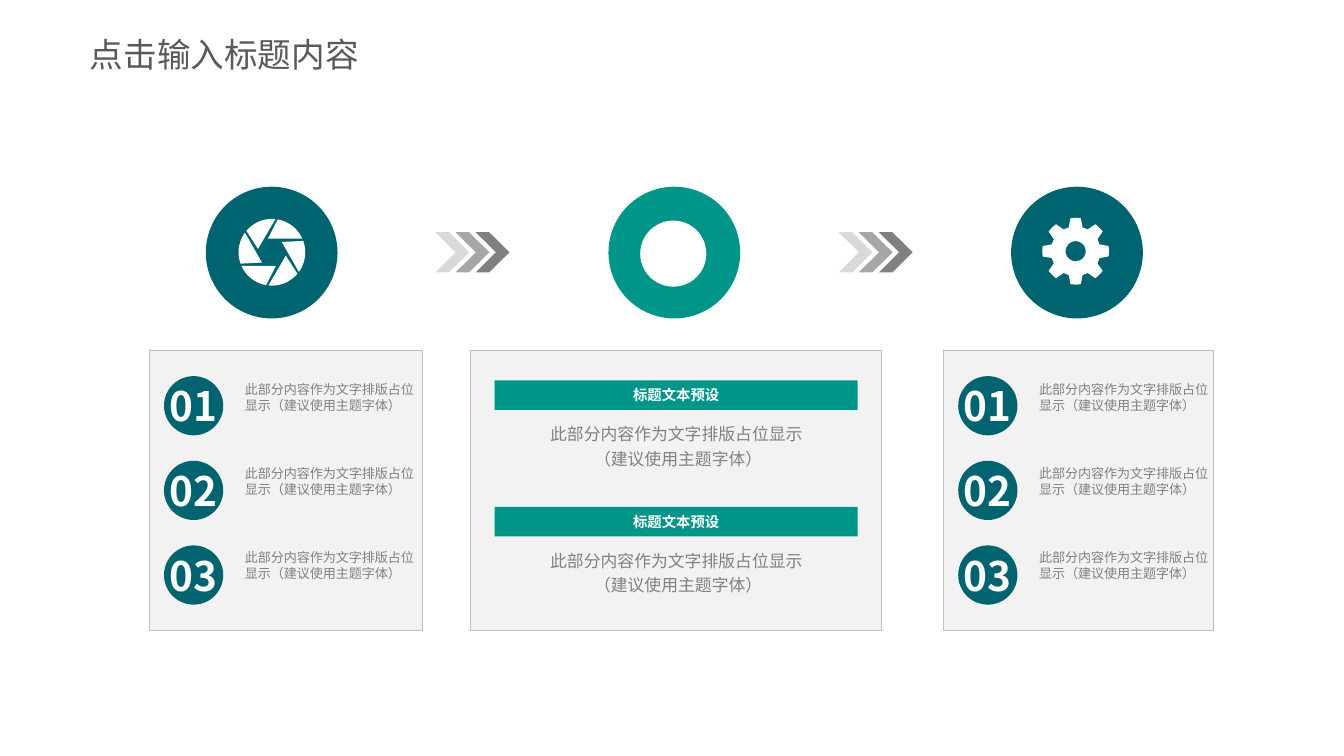
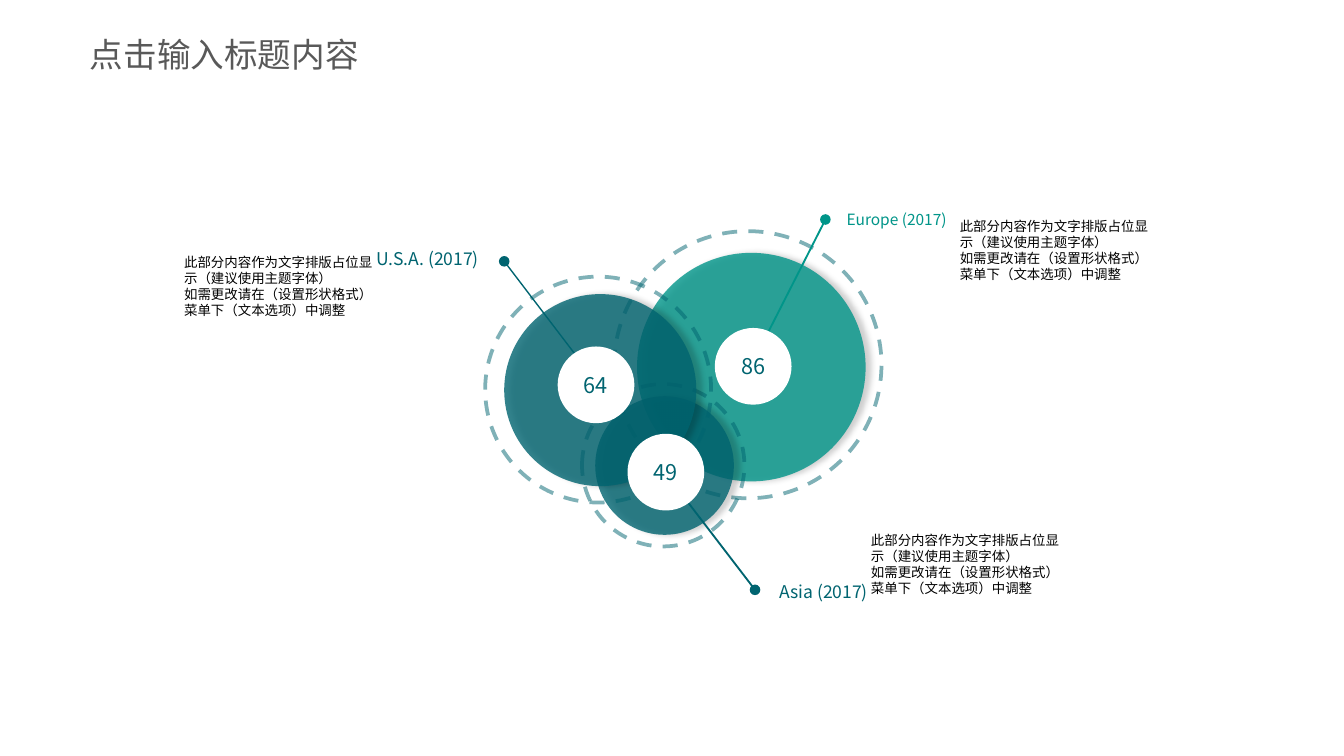
from math import cos, radians, sin

from lxml import etree
from pptx import Presentation
from pptx.dml.color import RGBColor
from pptx.enum.dml import MSO_LINE
from pptx.enum.shapes import MSO_CONNECTOR, MSO_SHAPE
from pptx.enum.text import MSO_ANCHOR, MSO_AUTO_SIZE, PP_ALIGN
from pptx.oxml.ns import qn
from pptx.util import Cm, Pt

CIRCLE, RECTANGLE, CHEVRON = MSO_SHAPE.OVAL, MSO_SHAPE.RECTANGLE, MSO_SHAPE.CHEVRON
STRAIGHT, DASH = MSO_CONNECTOR.STRAIGHT, MSO_LINE.DASH
TOP, MIDDLE = MSO_ANCHOR.TOP, MSO_ANCHOR.MIDDLE
LEFT, CENTER, RIGHT = PP_ALIGN.LEFT, PP_ALIGN.CENTER, PP_ALIGN.RIGHT
TITLE_ONLY = 5

FONT = "Noto Sans CJK SC"
DARK_TEAL, TEAL = "006470", "009589"
WHITE, BLACK = "FFFFFF", "000000"
PANEL, BORDER, GRAY, TITLE_GRAY = "F2F2F2", "BFBFBF", "808080", "595959"
CHEVRON_GRAYS = ("D9D9D9", "A6A6A6", GRAY)
NO_INSETS = (0, 0, 0, 0)
DEFAULT_INSETS = (0.25, 0.13, 0.25, 0.13)


def color(hex_string):
    return RGBColor.from_string(hex_string)


def add_element(parent, tag, **attributes):
    element = etree.SubElement(parent, qn(tag))
    for name, value in attributes.items():
        element.set(name, str(value))
    return element


def set_opacity(container, percent):
    srgb = next(container.iter(qn("a:srgbClr")))
    add_element(srgb, "a:alpha", val=percent * 1000)


def polar(center, radius, degrees):
    angle = radians(degrees)
    return center[0] + radius * cos(angle), center[1] + radius * sin(angle)


def arc(center, radius, start, end, steps=12):
    return [polar(center, radius, start + (end - start) * step / steps)
            for step in range(steps + 1)]


class Deck:
    """Holds the shared style and the current slide."""

    def __init__(self):
        self.presentation = Presentation()
        self.presentation.slide_width = Cm(25.4)
        self.presentation.slide_height = Cm(14.29)
        self.slide = None

    def new_slide(self, title):
        layout = self.presentation.slide_layouts[TITLE_ONLY]
        self.slide = self.presentation.slides.add_slide(layout)
        shape = self.slide.shapes.title
        shape.left, shape.top = Cm(1.7), Cm(0.48)
        shape.width, shape.height = Cm(5.92), Cm(1.07)
        self.set_text(shape, title, 18, TITLE_GRAY, insets=(0, 0.13, 0, 0.13))

    def set_text(self, shape, text, size, hex_color, bold=False, align=LEFT, anchor=MIDDLE,
                 insets=NO_INSETS, spacing=None, wrap=True):
        frame = shape.text_frame
        frame.text = text
        frame.auto_size = MSO_AUTO_SIZE.NONE
        frame.word_wrap = wrap
        frame.vertical_anchor = anchor
        (frame.margin_left, frame.margin_top,
         frame.margin_right, frame.margin_bottom) = map(Cm, insets)
        for paragraph in frame.paragraphs:
            paragraph.alignment = align
            paragraph.line_spacing = spacing
            font = paragraph.font
            font.name, font.size, font.bold = FONT, Pt(size), bold
            font.color.rgb = color(hex_color)
            # East Asian characters need their own typeface entry
            add_element(paragraph._p.pPr.find(qn("a:defRPr")), "a:ea", typeface=FONT)

    def text(self, x, y, width, height, text, size, hex_color, **options):
        box = self.slide.shapes.add_textbox(Cm(x), Cm(y), Cm(width), Cm(height))
        self.set_text(box, text, size, hex_color, **options)

    def paint(self, shape, fill, line=None, line_width=0.25):
        shape.shadow.inherit = False
        if fill:
            shape.fill.solid()
            shape.fill.fore_color.rgb = color(fill)
        else:
            shape.fill.background()
        if line:
            shape.line.color.rgb = color(line)
            shape.line.width = Pt(line_width)
        else:
            shape.line.fill.background()

    def shape(self, kind, x, y, width, height, fill, line=None, line_width=0.25):
        shape = self.slide.shapes.add_shape(kind, Cm(x), Cm(y), Cm(width), Cm(height))
        self.paint(shape, fill, line, line_width)
        return shape

    def circle(self, x, y, diameter, fill, **options):
        return self.shape(CIRCLE, x, y, diameter, diameter, fill, **options)

    def disc(self, x, y, diameter, fill):
        """Translucent circle with a soft shadow to the right."""
        properties = self.circle(x, y, diameter, fill)._element.spPr
        set_opacity(properties.find(qn("a:solidFill")), 80)
        shadow = add_element(properties.find(qn("a:effectLst")), "a:outerShdw",
                             blurRad=Pt(3), dist=Pt(3), dir=0, algn="l", rotWithShape=0)
        add_element(shadow, "a:srgbClr", val=BLACK)
        set_opacity(shadow, 23)

    def ring(self, x, y, diameter):
        shape = self.circle(x, y, diameter, None, line=DARK_TEAL, line_width=2)
        shape.line.dash_style = DASH
        set_opacity(shape._element.spPr.find(qn("a:ln")), 50)

    def outline(self, contours, fill):
        """One freeform made of closed contours."""
        contours = [[(Cm(x), Cm(y)) for x, y in contour] for contour in contours]
        builder = self.slide.shapes.build_freeform(*contours[0][0], scale=1.0)
        for index, contour in enumerate(contours):
            if index:
                builder.move_to(*contour[0])
            builder.add_line_segments(contour[1:], close=True)
        self.paint(builder.convert_to_shape(), fill)

    def line(self, start, end, hex_color, width):
        connector = self.slide.shapes.add_connector(STRAIGHT, *map(Cm, (*start, *end)))
        connector.line.color.rgb = color(hex_color)
        connector.line.width = Pt(width)
        add_element(connector._element.spPr, "a:effectLst")

    def chevrons(self, x, y):
        for index, gray in enumerate(CHEVRON_GRAYS):
            shape = self.shape(CHEVRON, x + 0.38 * index, y, 0.64, 0.76, gray)
            shape.adjustments[0] = 0.6

    def gear(self, center):
        contour = []
        for tooth in range(0, 360, 45):
            contour += [polar(center, 0.47, tooth - 16), *arc(center, 0.63, tooth - 9, tooth + 9, 4),
                        polar(center, 0.47, tooth + 16)]
        self.outline([contour, arc(center, 0.19, 0, 360, 36)], WHITE)

    def aperture(self, center):
        blades = [arc(center, 0.63, turn - 84, turn - 140) + [polar(center, 0.27, turn - 166)]
                  for turn in range(0, 360, 60)]
        self.outline(blades, WHITE)

    def numbered_panel(self, x, width):
        self.shape(RECTANGLE, x, 6.63, width, 5.28, PANEL, BORDER)
        for index in range(3):
            badge = self.circle(x + 0.28, 7.11 + 1.6 * index, 1.12, DARK_TEAL)
            self.set_text(badge, f"{index + 1:02}", 21.7, WHITE, bold=True, align=CENTER,
                          wrap=False)
            self.text(x + 1.4, 7.21 + 1.59 * index, width - 1.4, 0.91, ITEM, 7, GRAY,
                      anchor=TOP, insets=(0.41, 0, 0, 0))

    def headed_panel(self, x, width):
        self.shape(RECTANGLE, x, 6.63, width, 5.28, PANEL, BORDER)
        for y in (7.19, 9.58):
            bar = self.shape(RECTANGLE, x + 0.46, y, 6.86, 0.56, TEAL)
            self.set_text(bar, "标题文本预设", 7.7, WHITE, bold=True, align=CENTER, wrap=False)
            self.text(x + 0.46, y + 0.56, 6.86, 1.3, SUMMARY, 9, GRAY, align=CENTER, spacing=1.2)

    def callout(self, start, end, hex_color, width, label, label_at, size, align=LEFT):
        """Leader line with a dot at its start and a label."""
        self.line(start, end, hex_color, width)
        self.circle(start[0] - 0.1, start[1] - 0.1, 0.2, hex_color)
        self.text(*label_at, 2.54, 0.69, label, size, hex_color,
                  align=align, anchor=TOP, insets=DEFAULT_INSETS)


TITLE = "点击输入标题内容"
ITEM = "此部分内容作为文字排版占位\v显示（建议使用主题字体）"
SUMMARY = "此部分内容作为文字排版占位显示\v （建议使用主题字体）"
NOTE = ("此部分内容作为文字排版占位显示（建议使用主题字体）\v"
        "如需更改请在（设置形状格式）菜单下（文本选项）中调整")

deck = Deck()

# Slide 1: three steps with icons and panels
deck.new_slide(TITLE)
for index, fill in enumerate((DARK_TEAL, TEAL, DARK_TEAL)):
    deck.circle(3.89 + 7.61 * index, 3.53, 2.49, fill)
for x in (8.23, 15.85):
    deck.chevrons(x, 4.39)
deck.aperture((5.14, 4.77))
deck.circle(12.1, 4.17, 1.25, WHITE)
deck.gear((20.33, 4.75))
deck.headed_panel(8.89, 7.77)
deck.numbered_panel(17.83, 5.11)
deck.numbered_panel(2.82, 5.16)

# Slide 2: overlapping circles with callouts
deck.new_slide(TITLE)
for fill, disc, ring in (
    (TEAL, (12.04, 4.78, 4.32), (11.61, 4.37, 5.05)),
    (DARK_TEAL, (11.25, 7.49, 2.62), (11, 7.26, 3.07)),
    (DARK_TEAL, (9.53, 5.56, 3.63), (9.17, 5.23, 4.27)),
):
    deck.disc(*disc, fill)
    deck.ring(*ring)

deck.callout((15.6, 4.15), (14.38, 6.55), TEAL, 1, "Europe (2017)", (15.75, 3.84), 8.3)
deck.callout((9.53, 4.94), (11.07, 6.96), DARK_TEAL, 0.75, "U.S.A. (2017)", (6.76, 4.55), 9.4,
             align=RIGHT)
deck.callout((14.27, 11.15), (12.73, 9.14), DARK_TEAL, 1, "Asia (2017)", (14.48, 10.85), 9.4)

for x, y, width in ((3.48, 4.55, 3.68), (18.14, 3.86, 3.61), (16.46, 9.8, 3.56)):
    deck.text(x, y, width, 1.73, NOTE, 7.2, BLACK)
for x, y, value in ((13.51, 6.2, 86), (10.54, 6.55, 64), (11.86, 8.2, 49)):
    deck.set_text(deck.circle(x, y, 1.45, WHITE), str(value), 11.6, DARK_TEAL, align=CENTER)

deck.presentation.save("out.pptx")
